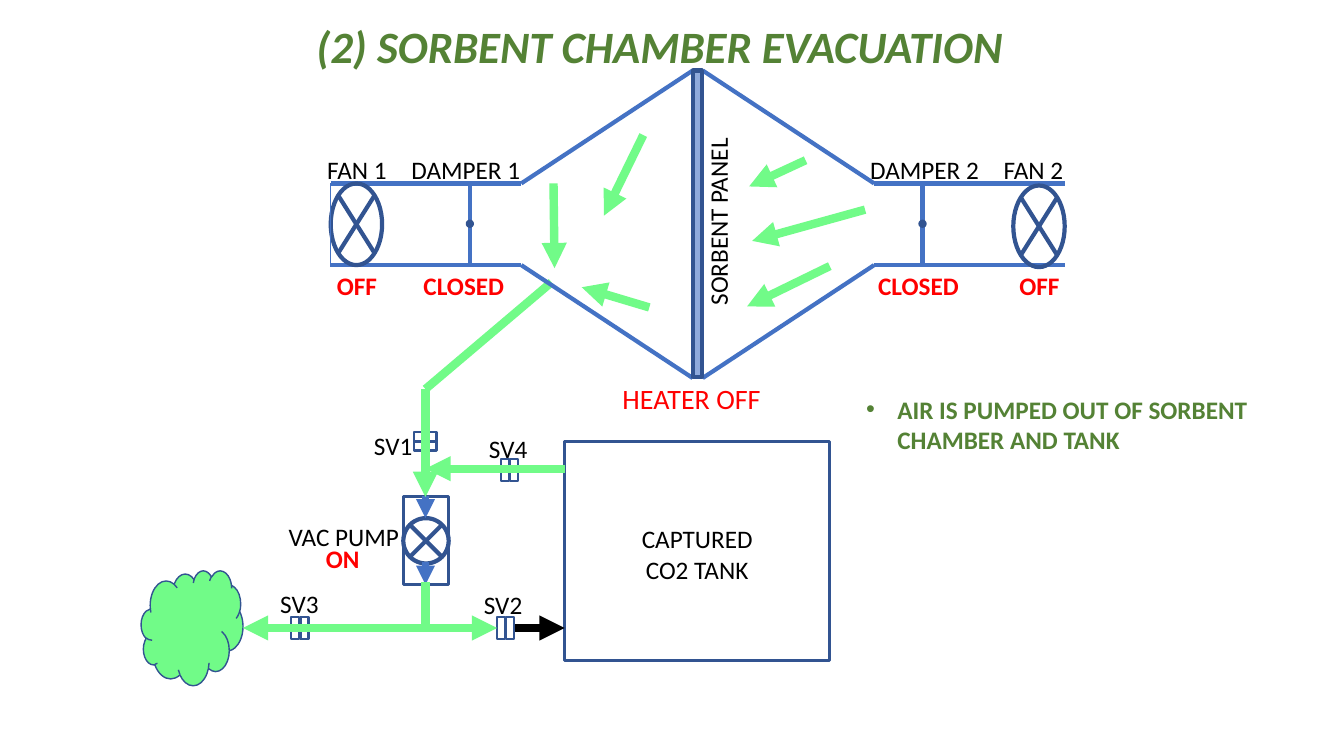
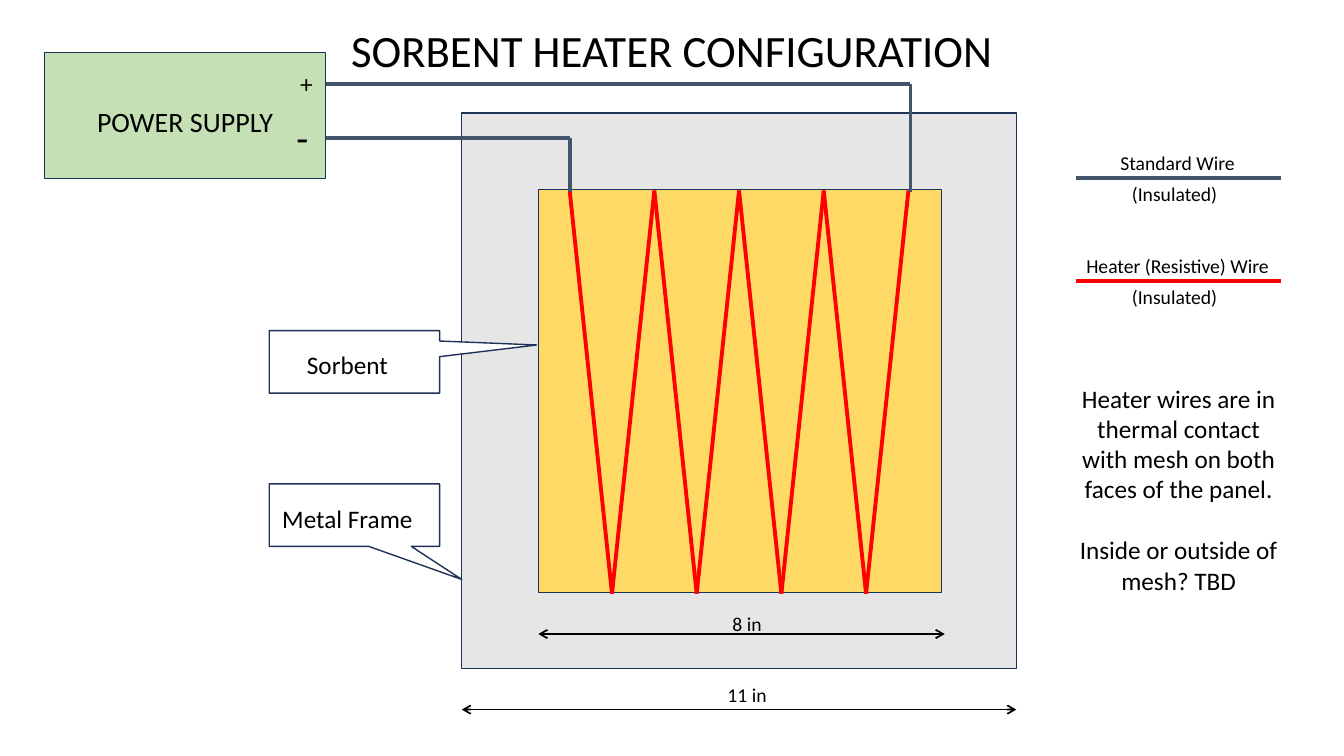
"""Build two slides: a sorbent chamber flow diagram and a heater wiring diagram."""
from lxml import etree
from pptx import Presentation
from pptx.dml.color import RGBColor
from pptx.enum.shapes import MSO_CONNECTOR, MSO_SHAPE
from pptx.enum.text import MSO_ANCHOR, MSO_AUTO_SIZE, PP_ALIGN
from pptx.oxml.ns import qn
from pptx.util import Inches, Pt

RECTANGLE = MSO_SHAPE.RECTANGLE
OVAL = MSO_SHAPE.OVAL
CLOUD = MSO_SHAPE.CLOUD
JUNCTION = MSO_SHAPE.FLOWCHART_SUMMING_JUNCTION
CALLOUT = MSO_SHAPE.RECTANGULAR_CALLOUT
STRAIGHT = MSO_CONNECTOR.STRAIGHT
CENTER, LEFT = PP_ALIGN.CENTER, PP_ALIGN.LEFT
TOP, MIDDLE = MSO_ANCHOR.TOP, MSO_ANCHOR.MIDDLE
NO_FIT = MSO_AUTO_SIZE.NONE

FONT = "Calibri"
COLORS = {
    "black": "000000", "white": "FFFFFF", "red": "FF0000",
    "duct": "4472C4", "outline": "325491", "panel": "8FAADC",
    "flow": "71FB88", "heading": "548235", "wire": "44546A",
    "edge": "1E3256", "frame": "E7E6E6", "sorbent": "FFD966", "supply": "C5E0B4",
}
TITLE_ONLY, TITLE_AND_BODY = 5, 1


def color_of(name):
    """Return the palette colour with this name."""
    return RGBColor.from_string(COLORS[name])


def write(frame, *paragraphs, size=18, color="black", bold=False, italic=False,
          align=CENTER, anchor=TOP, insets=(0.1, 0.05, 0.1, 0.05), gap=0, bullet=None):
    """Fill a text frame with formatted paragraphs."""
    frame.auto_size = NO_FIT
    frame.word_wrap = True
    frame.vertical_anchor = anchor
    frame.margin_left, frame.margin_top, frame.margin_right, frame.margin_bottom = map(Inches, insets)
    for index, words in enumerate(paragraphs):
        paragraph = frame.add_paragraph() if index else frame.paragraphs[0]
        paragraph.alignment = align
        paragraph.space_before = Pt(gap if index else 0)
        if bullet:
            properties = paragraph._p.get_or_add_pPr()
            properties.set("marL", str(Inches(0.31)))
            properties.set("indent", str(-Inches(0.31)))
            etree.SubElement(properties, qn("a:buChar"), char=bullet)
        run = paragraph.add_run()
        run.text = words
        run.font.name = FONT
        run.font.size = Pt(size)
        run.font.bold = bold
        run.font.italic = italic
        run.font.color.rgb = color_of(color)


def place(shape, left, top, width, height):
    """Move and size a shape."""
    shape.left, shape.top = Inches(left), Inches(top)
    shape.width, shape.height = Inches(width), Inches(height)


def add_title(slide, words, left, top, width, **form):
    """Place and write the slide title."""
    place(slide.shapes.title, left, top, width, 0.64)
    write(slide.shapes.title.text_frame, words, size=32, **form)


def add_label(slide, words, center, top, width=1.6, height=0.4, rotation=0, **form):
    """Add a text box centred on a horizontal position."""
    box = slide.shapes.add_textbox(Inches(center - width / 2), Inches(top), Inches(width), Inches(height))
    box.rotation = rotation
    write(box.text_frame, words, **form)


def add_box(slide, preset, left, top, width, height, fill=None, line="outline", weight=3):
    """Add an outlined preset shape, filled when a colour is given."""
    shape = slide.shapes.add_shape(preset, Inches(left), Inches(top), Inches(width), Inches(height))
    shape.shadow.inherit = False
    if fill:
        shape.fill.solid()
        shape.fill.fore_color.rgb = color_of(fill)
    else:
        shape.fill.background()
    shape.line.color.rgb = color_of(line)
    shape.line.width = Pt(weight)
    return shape


def add_line(slide, start, end, color="duct", weight=3, head=None, tail=None):
    """Add a straight line with optional arrowheads."""
    connector = slide.shapes.add_connector(STRAIGHT, *map(Inches, (*start, *end)))
    connector.line.color.rgb = color_of(color)
    connector.line.width = Pt(weight)
    outline = connector.line._get_or_add_ln()
    for tag, kind in (("a:headEnd", head), ("a:tailEnd", tail)):
        if kind:
            etree.SubElement(outline, qn(tag), type=kind)
    etree.SubElement(connector._element.spPr, qn("a:effectLst"))


def add_flow(slide, start, end, color="flow", head=None, tail="triangle"):
    """Add a thick flow arrow."""
    add_line(slide, start, end, color, 6, head, tail)


def add_duct(slide, left, top, number, mirrored, damper, fan_top, centers):
    """Draw one half of the chamber with its fan, damper and labels."""
    width, height, throat = 3.59, 3.05, 1.89
    upper, lower = top + 1.12, top + 1.93

    def across(distance):
        return left + width - distance if mirrored else left + distance

    for wall, corner in ((upper, top), (lower, top + height)):
        add_line(slide, (across(width), corner), (across(throat), wall))
        add_line(slide, (across(throat), wall), (across(0), wall))
    add_box(slide, JUNCTION, across(0.51 if mirrored else 0), top + fan_top, 0.51, 0.81)
    add_line(slide, (across(damper), lower), (across(damper), upper))
    add_box(slide, OVAL, across(damper) - 0.02, top + 1.5, 0.04, 0.04, "duct")
    fan, damper_name, fan_state, damper_state = map(across, centers)
    add_label(slide, f"FAN {number}", fan, top + 0.78)
    add_label(slide, f"DAMPER {number}", damper_name, top + 0.78)
    add_label(slide, "OFF", fan_state, top + 1.93, color="red", bold=True)
    add_label(slide, "CLOSED", damper_state, top + 1.93, color="red", bold=True)


def add_chamber(slide, left, top):
    """Draw the sorbent chamber, its panel and the air flow inside."""
    add_duct(slide, left, top, 1, False, 1.38, 1.12, (0.26, 1.34, 0.26, 1.32))
    add_duct(slide, left + 3.69, top, 2, True, 1.41, 1.14, (0.31, 1.39, 0.25, 1.45))
    add_line(slide, (left, top + 1.12), (left, top + 1.95), weight=0.5)
    add_box(slide, RECTANGLE, left + 3.59, top, 0.09, 3.04, "panel")
    add_label(slide, "SORBENT PANEL", left + 3.82, top + 1.32, 2.85, 0.36, rotation=270)
    arrows = (
        ((2.21, 1.12), (2.22, 1.96)), ((3.1, 0.64), (2.71, 1.44)),
        ((3.16, 2.35), (2.49, 2.15)), ((4.95, 1.94), (4.13, 2.34)),
        ((5.3, 1.38), (4.18, 1.69)), ((4.71, 0.89), (4.15, 1.15)),
    )
    for start, end in arrows:
        add_flow(slide, (left + start[0], top + start[1]), (left + end[0], top + end[1]))
    add_label(slide, "HEATER OFF", left + 3.58, top + 3.04, 1.8, 0.44, size=20, color="red")


def add_valve(slide, left, top, upright=False):
    """Draw a valve as two adjoining cells, stacked when upright."""
    for step in (0, 0.09):
        if upright:
            add_box(slide, RECTANGLE, left, top + step, 0.22, 0.09, weight=1.5)
        else:
            add_box(slide, RECTANGLE, left + step, top, 0.08, 0.22, weight=1.5)


def add_pump(slide, left, top):
    """Draw the vacuum pump with its inlet and outlet arrows."""
    middle = left + 0.22
    add_box(slide, JUNCTION, left, top + 0.21, 0.45, 0.45)
    add_box(slide, RECTANGLE, left, top, 0.45, 0.87, weight=2.25)
    for start in (top - 0.01, top + 0.65):
        add_line(slide, (middle, start), (middle, start + 0.22), weight=4.5, tail="triangle")
    add_label(slide, "VAC PUMP", left - 0.59, top + 0.19)
    add_label(slide, "ON", left - 0.6, top + 0.41, color="red", bold=True)


def add_piping(slide, left, top):
    """Draw the cloud, tank, pump, valves and the pipes joining them."""
    riser, header, branch = left + 2.82, top + 3.43, top + 1.85
    tank_left = left + 4.2
    add_box(slide, CLOUD, left, top + 2.86, 1.01, 1.14, "flow", weight=1)
    tank = add_box(slide, RECTANGLE, tank_left, top + 1.58, 2.63, 2.17, weight=2.25)
    write(tank.text_frame, "CAPTURED CO2 TANK", anchor=MIDDLE, insets=(0.66, 0.11, 0.66, 0.05))
    add_pump(slide, left + 2.6, top + 2.13)
    add_valve(slide, left + 2.71, top + 1.49, upright=True)
    for valve_left, valve_top in ((1.49, 3.32), (3.53, 3.32), (3.57, 1.75)):
        add_valve(slide, left + valve_left, top + valve_top)
    add_flow(slide, (left + 4.07, top), (riser, top + 1.06), tail=None)
    add_flow(slide, (riser, top + 1.06), (riser, top + 2.13))
    add_flow(slide, (left + 3.53, header), (left + 1.01, header), head="triangle")
    add_flow(slide, (left + 3.71, header), (tank_left, header), color="black")
    add_flow(slide, (riser, header), (riser, top + 2.97), tail=None)
    add_flow(slide, (tank_left, branch), (riser, branch))
    labels = (("SV1", 2.5, 1.42), ("SV2", 3.59, 3), ("SV3", 1.57, 2.99), ("SV4", 3.64, 1.45))
    for words, center, label_top in labels:
        add_label(slide, words, left + center, top + label_top)


def add_evacuation_slide(presentation):
    """Build the chamber evacuation slide."""
    slide = presentation.slides.add_slide(presentation.slide_layouts[TITLE_AND_BODY])
    add_piping(slide, 1.4, 2.8)
    add_chamber(slide, 3.28, 0.7)
    add_title(slide, "(2) SORBENT CHAMBER EVACUATION", 2.65, 0.14, 7.79,
              color="heading", bold=True, italic=True)
    body = slide.placeholders[1]
    place(body, 8.49, 3.86, 4, 0.71)
    write(body.text_frame, "AIR IS PUMPED OUT OF SORBENT CHAMBER AND TANK",
          color="heading", bold=True, align=LEFT, bullet="•")


def add_dimension(slide, words, start, end, level, center, label_top):
    """Draw a double-headed dimension line with its value."""
    add_line(slide, (start, level), (end, level), "black", 1.25, "arrow", "arrow")
    add_label(slide, words, center, label_top, 0.8, 0.34, size=14)


def add_panel(slide, left, top):
    """Draw the framed sorbent panel, the heater zigzag and the dimensions."""
    add_box(slide, RECTANGLE, left, top, 5.5, 5.51, "frame", "edge", 1)
    add_box(slide, RECTANGLE, left + 0.76, top + 0.76, 4, 4, "sorbent", "edge", 1)
    pitch = 0.42
    points = [(left + 1.07 + pitch * step, top + 0.77 + 4 * (step % 2)) for step in range(9)]
    for start, end in zip(points, points[1:]):
        add_line(slide, start, end, "red", 2.75)
    add_dimension(slide, "8 in", left + 0.76, left + 4.79, top + 5.17, left + 2.83, top + 4.9)
    add_dimension(slide, "11 in", left, left + 5.5, top + 5.92, left + 2.83, top + 5.61)


def add_supply(slide, left, top):
    """Draw the power supply with its terminals and leads."""
    width = 2.79
    supply = add_box(slide, RECTANGLE, left, top, width, 1.25, "supply", "edge", 1)
    write(supply.text_frame, "POWER SUPPLY", size=20, anchor=MIDDLE, insets=(0.1, 0.16, 0.1, 0.05))
    for level, reach in ((0.31, 8.59), (0.85, 5.21)):
        corner = (left + reach, top + level)
        add_line(slide, (left + width, top + level), corner, "wire", 2.75)
        add_line(slide, corner, (left + reach, top + 1.38), "wire", 2.75)
    add_label(slide, "+", left + 2.6, top + 0.11, 0.4)
    add_label(slide, "-", left + 2.56, top + 0.56, 0.4, 0.57, size=28)


def add_callout(slide, words, left, top, pointer):
    """Draw a callout whose pointer ends at the given relative offset."""
    callout = add_box(slide, CALLOUT, left, top, 1.69, 0.62, "white", "edge", 1)
    for index, value in enumerate(pointer):
        callout.adjustments[index] = value
    write(callout.text_frame, words, insets=(0.05, 0.19, 0.19, 0.05))


def add_legend_entry(slide, words, left, level, color):
    """Draw a wire sample with its name above and a remark below."""
    add_line(slide, (left, level), (left + 2.04, level), color, 2.75)
    add_label(slide, words, left + 1.01, level - 0.32, 2.2, 0.34, size=14)
    add_label(slide, "(Insulated)", left + 0.98, level - 0.01, 1.2, 0.34, size=14)


def add_heater_slide(presentation):
    """Build the heater configuration slide."""
    slide = presentation.slides.add_slide(presentation.slide_layouts[TITLE_ONLY])
    add_panel(slide, 4.58, 1.12)
    add_supply(slide, 0.44, 0.52)
    add_callout(slide, "Sorbent", 2.67, 3.28, (1.07, -0.27))
    add_callout(slide, "Metal Frame", 2.67, 4.8, (0.63, 1.03))
    add_legend_entry(slide, "Standard Wire", 10.67, 1.77, "wire")
    add_legend_entry(slide, "Heater (Resistive) Wire", 10.67, 2.79, "red")
    add_title(slide, "SORBENT HEATER CONFIGURATION", 3.2, 0.18, 6.93)
    note = slide.shapes.add_textbox(Inches(10.56), Inches(3.75), Inches(2.26), Inches(2.22))
    write(note.text_frame,
          "Heater wires are in thermal contact with mesh on both faces of the panel.",
          "Inside or outside of mesh? TBD", gap=22)


def main():
    """Create and save the presentation."""
    presentation = Presentation()
    presentation.slide_width, presentation.slide_height = Inches(13.33), Inches(7.5)
    add_evacuation_slide(presentation)
    add_heater_slide(presentation)
    presentation.save("out.pptx")


if __name__ == "__main__":
    main()
